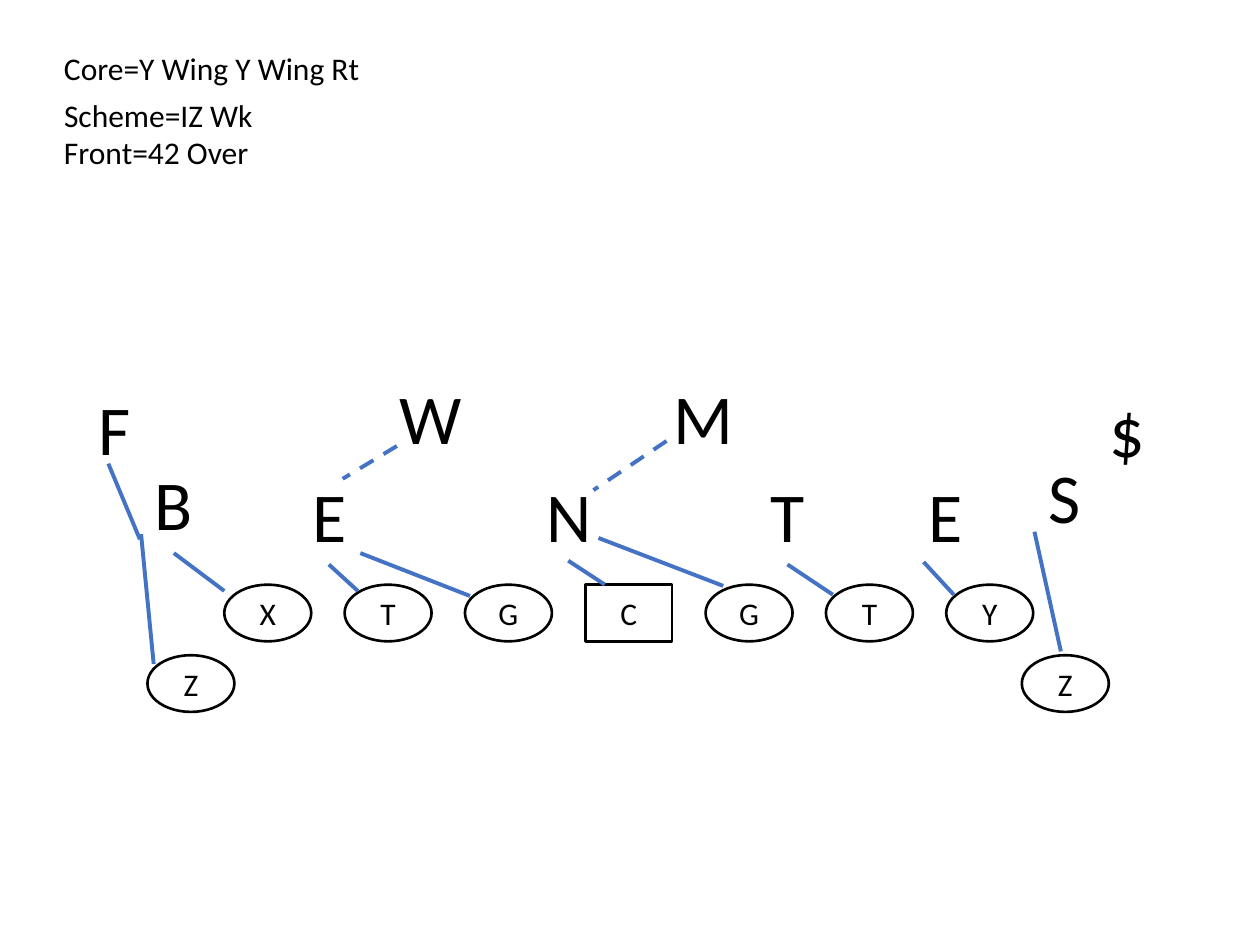
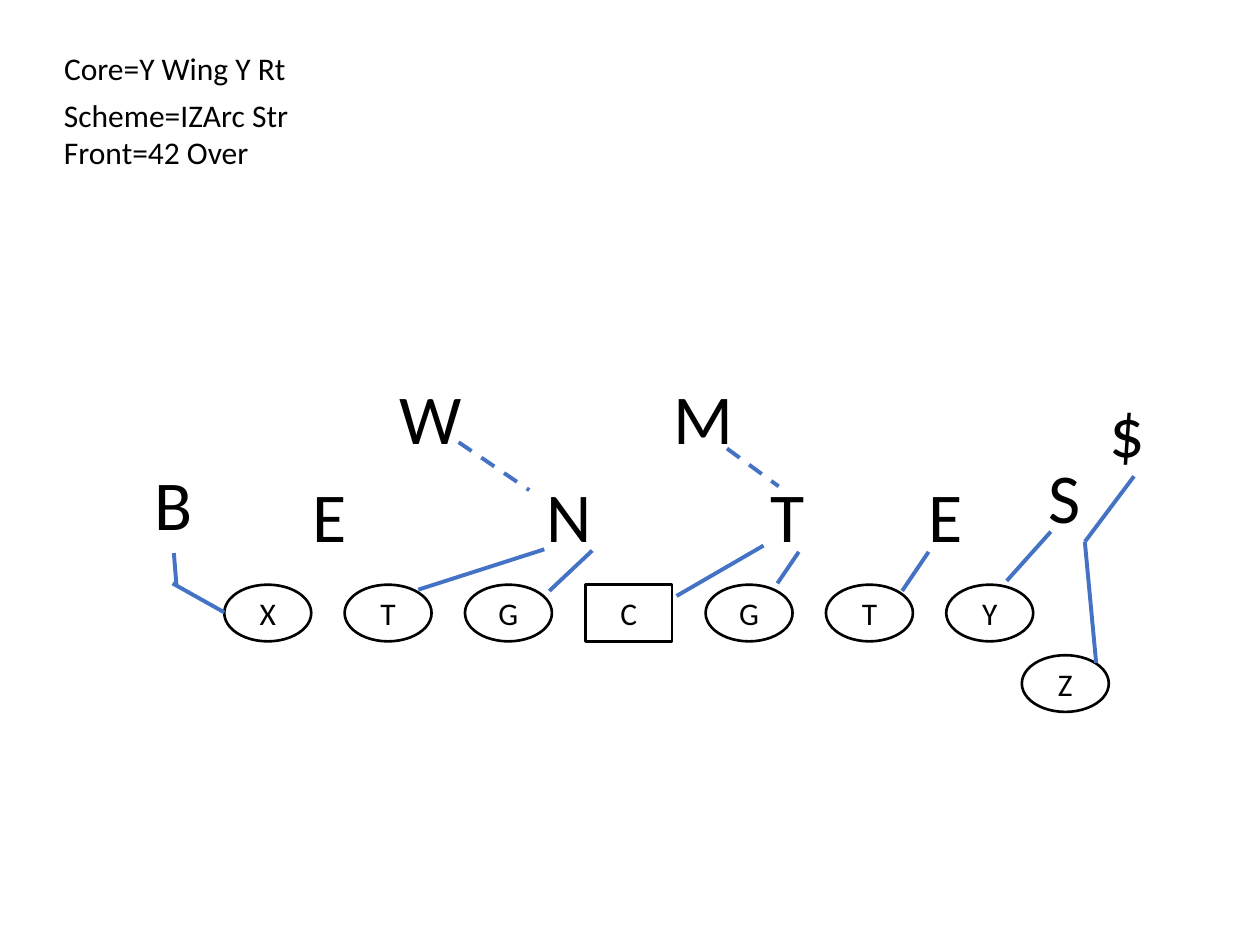
from dataclasses import dataclass

from lxml import etree
from pptx import Presentation
from pptx.dml.color import RGBColor
from pptx.enum.dml import MSO_LINE
from pptx.enum.shapes import MSO_CONNECTOR, MSO_SHAPE
from pptx.enum.text import MSO_ANCHOR, MSO_AUTO_SIZE, PP_ALIGN
from pptx.oxml.ns import qn
from pptx.util import Inches, Pt

OVAL, SQUARE = MSO_SHAPE.OVAL, MSO_SHAPE.RECTANGLE
STRAIGHT, DASH = MSO_CONNECTOR.STRAIGHT, MSO_LINE.DASH
CENTER, MIDDLE = PP_ALIGN.CENTER, MSO_ANCHOR.MIDDLE
GROW = MSO_AUTO_SIZE.SHAPE_TO_FIT_TEXT
BLANK_LAYOUT = 6


@dataclass(frozen=True)
class Theme:
    font: str = "Calibri"
    ink: RGBColor = RGBColor(0, 0, 0)
    paper: RGBColor = RGBColor(255, 255, 255)
    block: RGBColor = RGBColor(0x44, 0x72, 0xC4)
    small: int = 18
    large: int = 40
    outline: float = 1.5
    block_width: float = 2.25


THEME = Theme()

# Offensive line: seven players at equal steps
LINEMEN = "XTGCGTY"
LINE_LEFT, LINE_TOP = 1.78, 4.64
LINE_STEP = (7.51 - LINE_LEFT) / (len(LINEMEN) - 1)
PLAYER_WIDTH, PLAYER_HEIGHT = 0.69, 0.45
WING_TOP = 5.2
RIGHT_WING, LEFT_WING = 8.11, 1.17

# Call sheet lines, top to bottom
CALL_LEFT, CALL_HEIGHT = 0.41, 0.4
CALL_TOPS = (0.34, 0.71, 1.01)

# Defenders: letter, left, top, width
DEFENDER_HEIGHT = 0.77
FRONT_TOP, BACKER_TOP = 3.7, 2.92
DEFENDERS = (
    ("N", 4.24, FRONT_TOP, 0.56), ("T", 6.02, FRONT_TOP, 0.48),
    ("E", 7.27, FRONT_TOP, 0.48), ("E", 2.38, FRONT_TOP, 0.48),
    ("W", 3.07, BACKER_TOP, 0.7), ("M", 5.25, BACKER_TOP, 0.7),
    ("S", 8.22, 3.55, 0.48), ("B", 1.13, 3.61, 0.51),
    ("$", 8.71, 3.03, 0.39),
)
FREE_DEFENDER = ("F", 0.68, 3.01, 0.35)

# Each play: call lines with widths, wings, extra defenders,
# solid blocks and dashed climbs to the second level (x1, y1, x2, y2)
PLAYS = (
    dict(
        calls=(("Core=Y Wing Y Wing Rt", 2.57), ("Scheme=IZ Wk", 1.71),
               ("Front=42 Over", 1.74)),
        wings=(RIGHT_WING, LEFT_WING),
        extras=(FREE_DEFENDER,),
        blocks=((2.61, 4.48, 2.84, 4.69), (2.86, 4.39, 3.73, 4.73),
                (4.51, 4.45, 4.8, 4.64), (4.75, 4.27, 5.74, 4.65),
                (6.25, 4.48, 6.61, 4.72), (7.33, 4.46, 7.57, 4.72),
                (8.21, 4.22, 8.42, 5.17), (1.38, 4.39, 1.78, 4.69),
                (1.12, 4.24, 1.22, 5.27), (1.11, 4.28, 0.86, 3.68)),
        climbs=((3.15, 3.54, 2.72, 3.8), (5.29, 3.5, 4.71, 3.89)),
    ),
    dict(
        calls=(("Core=Y Wing Y Rt", 1.98), ("Scheme=IZArc Str", 2),
               ("Front=42 Over", 1.74)),
        wings=(RIGHT_WING,),
        extras=(),
        blocks=((8.34, 4.22, 7.99, 4.61), (8.7, 5.26, 8.61, 4.3),
                (8.61, 4.3, 9, 3.78), (7.37, 4.38, 7.16, 4.69),
                (6.34, 4.38, 6.17, 4.63), (6.06, 4.33, 5.37, 4.73),
                (4.7, 4.37, 4.36, 4.69), (4.32, 4.36, 3.32, 4.68),
                (1.78, 4.86, 1.37, 4.63), (1.38, 4.39, 1.4, 4.64)),
        climbs=((5.77, 3.56, 6.18, 3.86), (3.64, 3.51, 4.2, 3.89)),
    ),
)


def add_text(para, text, size):
    span = para.add_run()
    span.text = text
    span.font.name = THEME.font
    span.font.size = Pt(size)
    span.font.color.rgb = THEME.ink


def add_label(page, text, left, top, width, height, size):
    box = page.shapes.add_textbox(
        Inches(left), Inches(top), Inches(width), Inches(height))
    frame = box.text_frame
    # The narrowest boxes wrap so that their letter stays at the left inset
    frame.word_wrap = width < 0.4
    frame.auto_size = GROW
    add_text(frame.paragraphs[0], text, size)


def add_player(page, letter, left, top):
    kind = SQUARE if letter == "C" else OVAL
    player = page.shapes.add_shape(
        kind, Inches(left), Inches(top),
        Inches(PLAYER_WIDTH), Inches(PLAYER_HEIGHT))
    player.shadow.inherit = False
    player.fill.solid()
    player.fill.fore_color.rgb = THEME.paper
    player.line.color.rgb = THEME.ink
    player.line.width = Pt(THEME.outline)
    frame = player.text_frame
    frame.vertical_anchor = MIDDLE
    para = frame.paragraphs[0]
    para.alignment = CENTER
    add_text(para, letter, THEME.small)


def add_block(page, points, dashed=False):
    block = page.shapes.add_connector(STRAIGHT, *map(Inches, points))
    block.line.color.rgb = THEME.block
    block.line.width = Pt(THEME.block_width)
    if dashed:
        block.line.dash_style = DASH
    etree.SubElement(block._element.spPr, qn("a:effectLst"))


def add_play(deck, play):
    page = deck.slides.add_slide(deck.slide_layouts[BLANK_LAYOUT])
    # Call sheet
    for (text, width), top in zip(play["calls"], CALL_TOPS):
        add_label(page, text, CALL_LEFT, top, width, CALL_HEIGHT, THEME.small)
    # Offense
    for index, letter in enumerate(LINEMEN):
        add_player(page, letter, LINE_LEFT + index * LINE_STEP, LINE_TOP)
    for left in play["wings"]:
        add_player(page, "Z", left, WING_TOP)
    # Defense
    for letter, left, top, width in DEFENDERS + play["extras"]:
        add_label(page, letter, left, top, width, DEFENDER_HEIGHT, THEME.large)
    # Assignments
    for points in play["blocks"]:
        add_block(page, points)
    for points in play["climbs"]:
        add_block(page, points, dashed=True)


def main():
    deck = Presentation()
    deck.slide_width, deck.slide_height = Inches(10), Inches(7.5)
    for play in PLAYS:
        add_play(deck, play)
    deck.save("out.pptx")


main()
